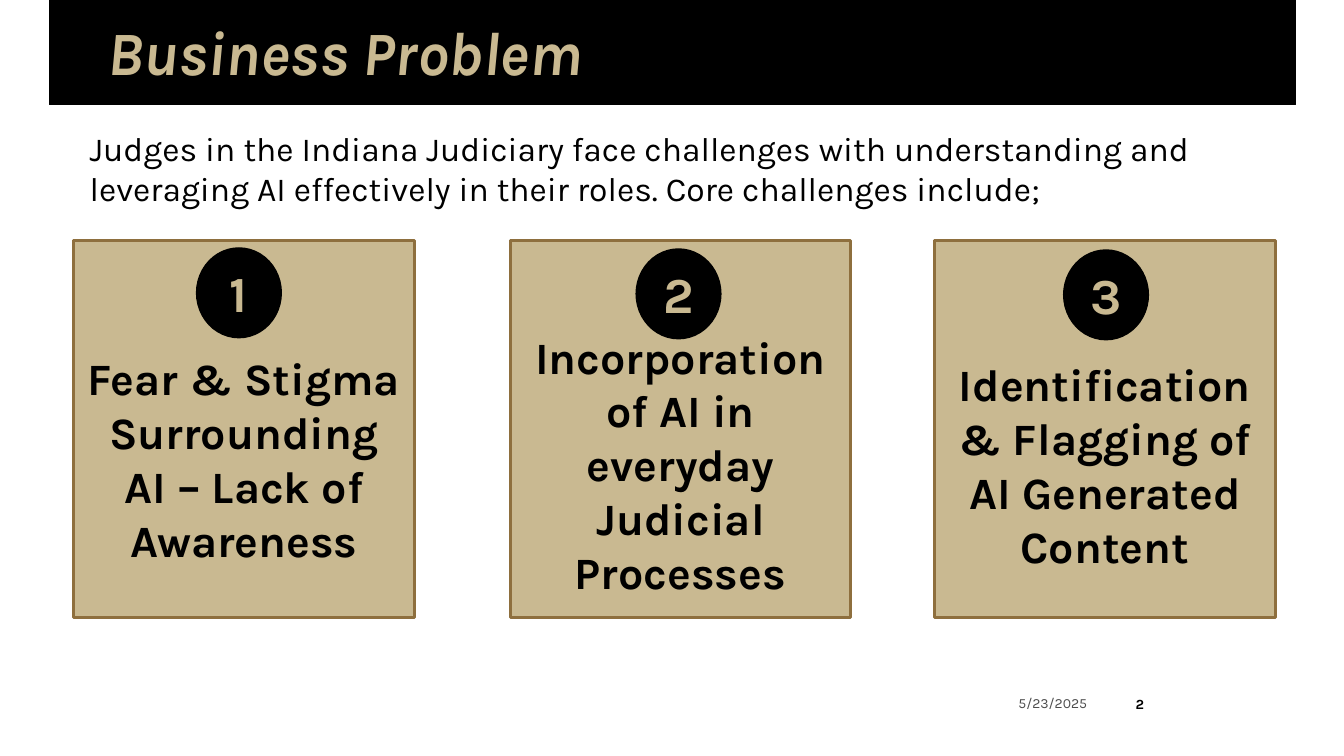
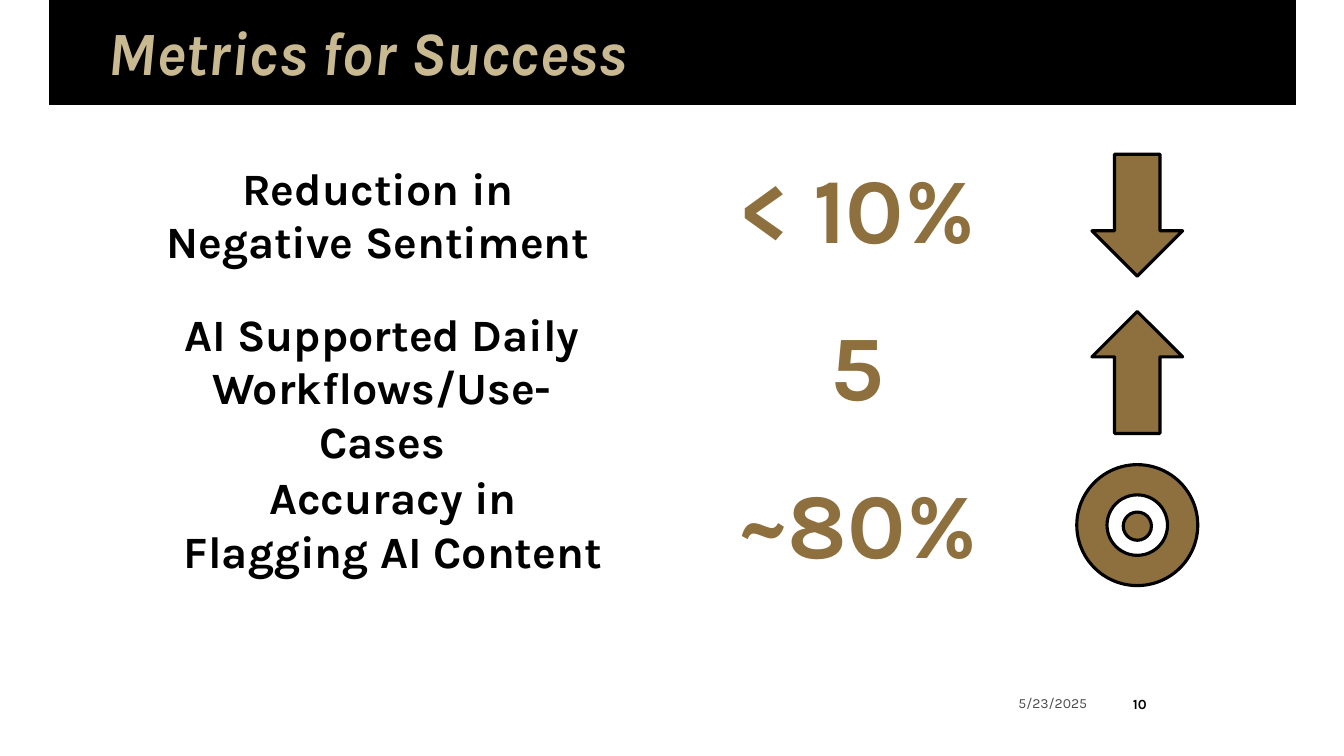
from pptx import Presentation
from pptx.dml.color import RGBColor
from pptx.enum.shapes import MSO_SHAPE
from pptx.enum.text import MSO_ANCHOR, MSO_AUTO_SIZE, PP_ALIGN
from pptx.util import Inches, Pt

RECTANGLE, OVAL, DONUT = MSO_SHAPE.RECTANGLE, MSO_SHAPE.OVAL, MSO_SHAPE.DONUT
DOWN_ARROW, UP_ARROW = MSO_SHAPE.DOWN_ARROW, MSO_SHAPE.UP_ARROW
LEFT, CENTER, RIGHT = PP_ALIGN.LEFT, PP_ALIGN.CENTER, PP_ALIGN.RIGHT
TOP, MIDDLE = MSO_ANCHOR.TOP, MSO_ANCHOR.MIDDLE
FIT_SHAPE, NO_FIT = MSO_AUTO_SIZE.SHAPE_TO_FIT_TEXT, MSO_AUTO_SIZE.NONE

FONT = "Karla"
BLACK, GREY, GOLD, BRONZE = "000000", "4D4D4D", "C9B991", "8E6F3E"
TITLE_ONLY = 5
DATE = "5/23/2025"


def color(hex_value):
    return RGBColor.from_string(hex_value)


def inches(box):
    return [Inches(length) for length in box]


def write(shape, text, size, hex_value, bold=False, italic=False,
          align=LEFT, anchor=TOP, fit=NO_FIT):
    frame = shape.text_frame
    frame.word_wrap = True
    frame.auto_size = fit
    frame.vertical_anchor = anchor
    frame.text = text
    paragraph = frame.paragraphs[0]
    paragraph.alignment = align
    font = paragraph.font
    font.name, font.size = FONT, Pt(size)
    font.bold, font.italic = bold, italic
    font.color.rgb = color(hex_value)
    return paragraph


def set_margins(shape, horizontal, vertical):
    frame = shape.text_frame
    frame.margin_left = frame.margin_right = Inches(horizontal)
    frame.margin_top = frame.margin_bottom = Inches(vertical)


def add_text(slide, box, text, size, hex_value, **style):
    text_box = slide.shapes.add_textbox(*inches(box))
    write(text_box, text, size, hex_value, **style)
    return text_box


def add_figure(slide, kind, box, fill, line, line_width=2.25):
    shape = slide.shapes.add_shape(kind, *inches(box))
    shape.shadow.inherit = False
    shape.fill.solid()
    shape.fill.fore_color.rgb = color(fill)
    shape.line.color.rgb = color(line)
    shape.line.width = Pt(line_width)
    return shape


def add_framed_slide(presentation, title_text, number):
    """Add a slide with the title band, date and slide number."""
    slide = presentation.slides.add_slide(presentation.slide_layouts[TITLE_ONLY])
    title = slide.shapes.title
    band = add_figure(slide, RECTANGLE, (0.49, 0, 12.36, 1.04), BLACK, BLACK, 1)
    title.element.addprevious(band.element)  # the band lies behind the title

    title.left, title.top, title.width, title.height = inches((1.07, 0.22, 8.74, 0.67))
    set_margins(title, 0, 0)
    paragraph = write(title, title_text, 44, GOLD, bold=True, italic=True)
    paragraph.line_spacing = 0.9

    add_text(slide, (9.76, 6.8, 1.12, 0.35), DATE, 10, GREY, align=RIGHT, anchor=MIDDLE)
    number_box = add_text(slide, (11.04, 6.78, 0.53, 0.4), number, 10, BLACK,
                          bold=True, align=CENTER, anchor=MIDDLE)
    set_margins(number_box, 0.02, 0.05)
    return slide


def add_challenge_card(slide, box, number, text, badge_offset, text_offset):
    left, top, width, _ = box
    add_figure(slide, RECTANGLE, box, GOLD, BRONZE)
    add_text(slide, (left, top + text_offset, width, 2.26), text, 32, BLACK,
             bold=True, align=CENTER, anchor=MIDDLE, fit=FIT_SHAPE)
    badge_left, badge_top = badge_offset
    badge = add_figure(slide, OVAL, (left + badge_left, top + badge_top, 0.84, 0.89),
                       BLACK, BLACK, 1)
    write(badge, number, 36, GOLD, bold=True, align=CENTER, anchor=MIDDLE)


def add_arrow(slide, kind, center, top):
    add_figure(slide, kind, (center - 0.45, top + 0.08, 0.9, 1.21), BRONZE, BLACK)


def add_down_arrow(slide, center, top):
    add_arrow(slide, DOWN_ARROW, center, top)


def add_up_arrow(slide, center, top):
    add_arrow(slide, UP_ARROW, center, top)


def add_target(slide, center, top):
    for kind, size, offset in ((DONUT, 1.2, 0.04), (OVAL, 0.28, 0.51)):
        add_figure(slide, kind, (center - size / 2, top + offset, size, size),
                   BRONZE, BLACK)


def add_metric_row(slide, top, label, label_box, value, add_icon):
    label_left, label_offset, label_width = label_box
    add_text(slide, (label_left, top + label_offset, label_width, 1.18), label, 32,
             BLACK, bold=True, align=CENTER, fit=FIT_SHAPE)
    add_text(slide, (6.9, top, 3.21, 1.21), value, 66, BRONZE,
             bold=True, align=CENTER, fit=FIT_SHAPE)
    add_icon(slide, 11.28, top)


def build_problem_slide(presentation):
    slide = add_framed_slide(presentation, "Business Problem", "2")
    add_text(slide, (0.79, 1.22, 11.82, 0.91),
             "Judges in the Indiana Judiciary face challenges with understanding and "
             "leveraging AI effectively in their roles. Core challenges include;",
             24, BLACK, fit=FIT_SHAPE)
    challenges = (
        (0.73, "Fear & Stigma Surrounding AI – Lack of Awareness", (1.22, 0.07), 1.03),
        (5.06, "Incorporation of AI in everyday Judicial Processes", (1.25, 0.08), 1.08),
        (9.27, "Identification & Flagging of AI Generated Content", (1.28, 0.09), 1.09),
    )
    for number, (left, text, badge_offset, text_offset) in enumerate(challenges, 1):
        add_challenge_card(slide, (left, 2.39, 3.38, 3.74), str(number), text,
                           badge_offset, text_offset)


def build_metrics_slide(presentation):
    slide = add_framed_slide(presentation, "Metrics for Success", "10")
    first_top, row_pitch = 1.45, 1.56
    metrics = (
        ("Reduction in Negative Sentiment", (1.43, 0.09, 4.64), "< 10%", add_down_arrow),
        ("AI Supported Daily Workflows/Use-Cases", (1.47, -0.02, 4.64), "5", add_up_arrow),
        ("Accuracy in Flagging AI Content", (1.72, 0.04, 4.36), "~80%", add_target),
    )
    for row, metric in enumerate(metrics):
        add_metric_row(slide, first_top + row * row_pitch, *metric)


def main():
    presentation = Presentation()
    presentation.slide_width = Inches(13.33)
    presentation.slide_height = Inches(7.5)
    build_problem_slide(presentation)
    build_metrics_slide(presentation)
    presentation.save("out.pptx")


if __name__ == "__main__":
    main()
